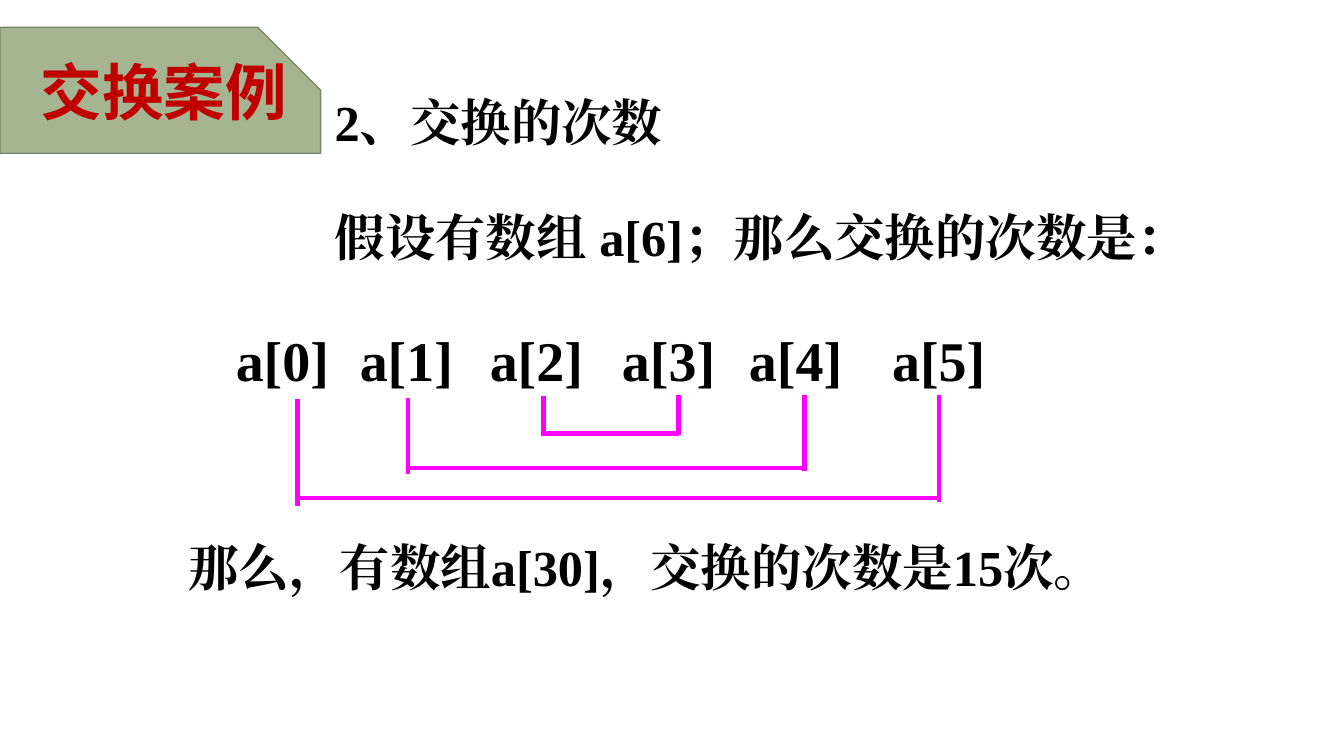
from dataclasses import dataclass

from lxml import etree
from pptx import Presentation
from pptx.dml.color import RGBColor
from pptx.enum import shapes, text
from pptx.oxml import ns
from pptx.util import Inches, Pt


@dataclass(frozen=True)
class Theme:
    """Colours, fonts and sizes of the slide."""
    ink: str = "000000"
    title: str = "C00000"
    tag: str = "A5B592"
    tag_line: str = "7A866C"
    bracket: str = "FF00FF"
    body_font: str = "Times New Roman"
    title_font: str = "Noto Sans CJK SC"
    body_size: int = 36
    label_size: int = 40
    title_size: int = 44


THEME = Theme()
LABEL_LEFTS = (2.24, 3.47, 4.76, 6.07, 7.33, 8.75)
BRACKETS = (
    (2.95, 9.31, 3.96, 4.94, 0.08),
    (4.05, 7.98, 3.95, 4.64, 0.06),
    (5.39, 6.73, 3.93, 4.30, 0.03),
)
RIGHT_TOP = 3.92


def write_text(frame, lines, *, size=THEME.body_size, font=THEME.body_font,
               color=THEME.ink, align=text.PP_ALIGN.LEFT, spacing=1.0, gap=0):
    """Fill a text frame with bold formatted paragraphs."""
    for index, line in enumerate(lines):
        paragraph = frame.paragraphs[0] if index == 0 else frame.add_paragraph()
        paragraph.alignment = align
        paragraph.line_spacing = spacing
        paragraph.space_before = Pt(gap if index else 0)
        run = paragraph.add_run()
        run.text = line
        run.font.size = Pt(size)
        run.font.bold = True
        run.font.name = font
        run.font.color.rgb = RGBColor.from_string(color)
        east_asian = etree.SubElement(run.font._element, ns.qn("a:ea"))
        east_asian.set("typeface", font)


def add_text(slide, box, lines, *, wrap=True, **style):
    """Add a text box that grows with its text."""
    shape = slide.shapes.add_textbox(*map(Inches, box))
    frame = shape.text_frame
    frame.word_wrap = wrap
    frame.auto_size = text.MSO_AUTO_SIZE.SHAPE_TO_FIT_TEXT
    write_text(frame, lines, **style)


def add_line(group, start, end):
    """Draw one straight bracket stroke."""
    line = group.shapes.add_connector(
        shapes.MSO_CONNECTOR.STRAIGHT, *map(Inches, (*start, *end)))
    line.line.color.rgb = RGBColor.from_string(THEME.bracket)
    line.line.width = Pt(3)
    etree.SubElement(line._element.spPr, ns.qn("a:effectLst"))


def add_bracket(slide, left, right, left_top, bar, overshoot):
    """Join two array elements with a bracket below them."""
    group = slide.shapes.add_group_shape()
    add_line(group, (left, left_top), (left, bar + overshoot))
    add_line(group, (left, bar), (right, bar))
    add_line(group, (right, bar + overshoot / 2), (right, RIGHT_TOP))


def add_title(slide, title_text):
    """Put the title on a tag with a snipped corner."""
    tag = slide.shapes.add_shape(
        shapes.MSO_SHAPE.SNIP_1_RECTANGLE, *map(Inches, (0, 0.27, 3.18, 1.25)))
    tag.adjustments[0] = 0.5
    tag.shadow.inherit = False
    tag.fill.solid()
    tag.fill.fore_color.rgb = RGBColor.from_string(THEME.tag)
    tag.line.color.rgb = RGBColor.from_string(THEME.tag_line)
    tag.line.width = Pt(1)
    title = slide.shapes.title
    title.left, title.top, title.width, title.height = map(
        Inches, (0.07, 0.16, 3.11, 1.48))
    frame = title.text_frame
    frame.word_wrap = True
    frame.auto_size = text.MSO_AUTO_SIZE.NONE
    frame.vertical_anchor = text.MSO_ANCHOR.MIDDLE
    write_text(frame, [title_text], size=THEME.title_size, font=THEME.title_font,
               color=THEME.title, align=text.PP_ALIGN.CENTER)
    tag.element.addnext(title.element)


def main():
    """Build and save the slide."""
    presentation = Presentation()
    presentation.slide_width = Inches(13.33)
    presentation.slide_height = Inches(7.5)
    slide = presentation.slides.add_slide(presentation.slide_layouts[5])
    add_text(slide, (3.22, 0.55, 8.82, 2.22),
             ["2、交换的次数", "假设有数组 a[6]；那么交换的次数是："],
             spacing=1.5, gap=18)
    for index, left in enumerate(LABEL_LEFTS):
        add_text(slide, (left, 3.18, 1.14, 0.77), [f"a[{index}]"],
                 wrap=False, size=THEME.label_size)
    for bracket in BRACKETS:
        add_bracket(slide, *bracket)
    add_text(slide, (1.77, 4.97, 9.76, 1.01),
             ["那么，有数组a[30]，交换的次数是15次。"], spacing=1.5)
    add_title(slide, "交换案例")
    presentation.save("out.pptx")


if __name__ == "__main__":
    main()
